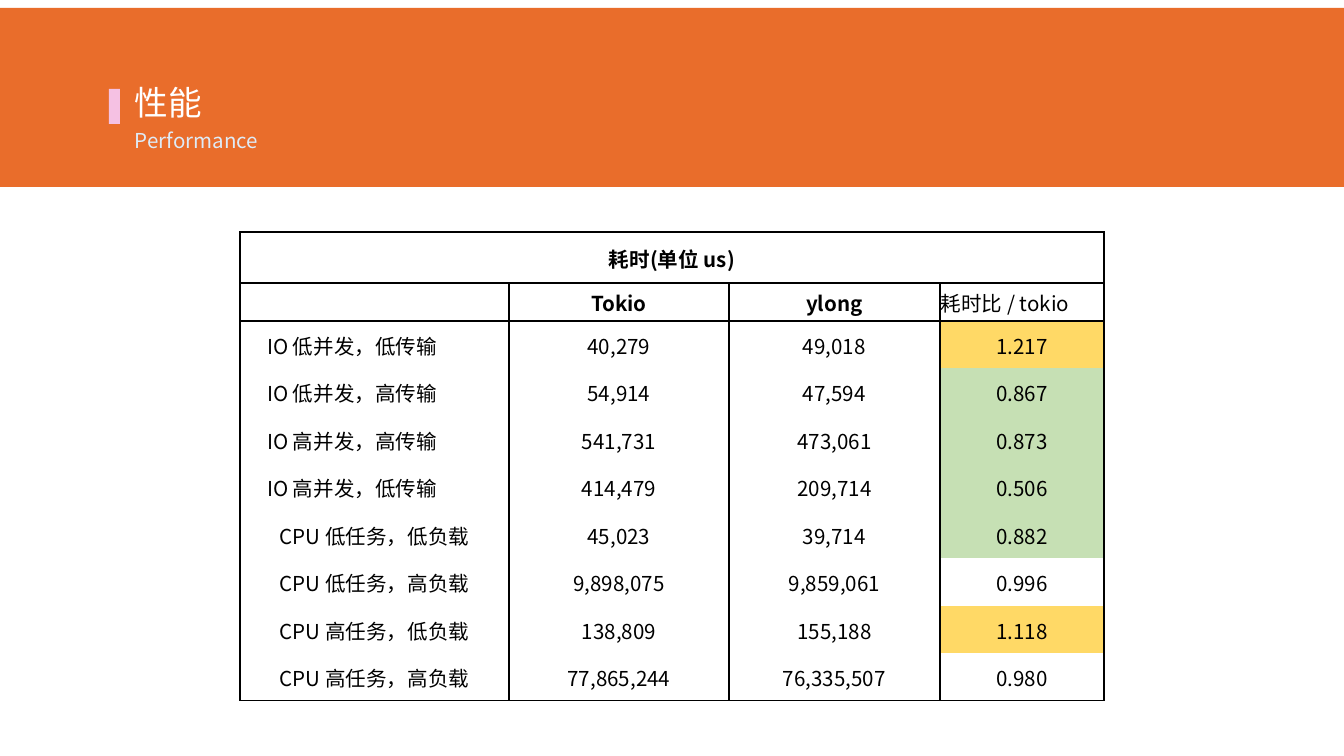
from lxml.etree import SubElement
from pptx import Presentation
from pptx.dml.color import RGBColor
from pptx.enum.shapes import MSO_SHAPE
from pptx.enum.text import MSO_ANCHOR, MSO_AUTO_SIZE, PP_ALIGN
from pptx.oxml.ns import qn
from pptx.util import Emu, Pt

# Content
TITLE, SUBTITLE = "性能", "Performance"
CAPTION = "耗时(单位 us)"
HEADERS = ["", "Tokio", "ylong", "耗时比 / tokio"]
RESULTS = [
    ("IO 低并发，低传输", "40,279", "49,018", "1.217", "slower"),
    ("IO 低并发，高传输", "54,914", "47,594", "0.867", "faster"),
    ("IO 高并发，高传输", "541,731", "473,061", "0.873", "faster"),
    ("IO 高并发，低传输", "414,479", "209,714", "0.506", "faster"),
    ("CPU 低任务，低负载", "45,023", "39,714", "0.882", "faster"),
    ("CPU 低任务，高负载", "9,898,075", "9,859,061", "0.996", None),
    ("CPU 高任务，低负载", "138,809", "155,188", "1.118", "slower"),
    ("CPU 高任务，高负载", "77,865,244", "76,335,507", "0.980", None),
]
COLORS = {
    "band": "E96D2B", "accent": "F5C1E3", "title": "FFFFFF", "subtitle": "DEEBF7",
    "ink": "000000", "slower": "FFD966", "faster": "C6E0B4",
}
FONT = "Noto Sans CJK SC"

# Layout in px
COL_WIDTHS = [269, 220, 211, 164]
HEAD_HEIGHTS = [51, 38]
TABLE_LEFT, TABLE_TOP, TABLE_HEIGHT = 240, 232, 469
IO_INDENT = 27


def px(n):
    return Emu(round(n * 914400 / 134.4))


def rgb(name):
    return RGBColor.from_string(COLORS[name])


def style_text(p, size, color, bold=False, align=PP_ALIGN.LEFT):
    p.alignment = align
    p.space_before = Pt(0)
    for r in p.runs:
        r.font.size, r.font.bold, r.font.name = Pt(size), bold, FONT
        r.font.color.rgb = rgb(color)
        SubElement(r.font._element, qn("a:ea"), typeface=FONT)
    if not p.runs:
        p._p.get_or_add_endParaRPr().set("sz", str(size * 100))


def add_rect(slide, box, color):
    sp = slide.shapes.add_shape(MSO_SHAPE.RECTANGLE, *map(px, box))
    sp.shadow.inherit = False
    sp.fill.solid()
    sp.fill.fore_color.rgb = rgb(color)
    sp.line.fill.background()
    return sp


def fill_placeholder(sp, box, text, size, color):
    sp.left, sp.top, sp.width, sp.height = map(px, box)
    tf = sp.text_frame
    tf.text = text
    tf.word_wrap = True
    tf.auto_size = MSO_AUTO_SIZE.NONE
    tf.vertical_anchor = MSO_ANCHOR.TOP
    tf.margin_left = tf.margin_right = tf.margin_top = tf.margin_bottom = px(7)
    style_text(tf.paragraphs[0], size, color)


def set_borders(cell, sides):
    tcPr = cell._tc.get_or_add_tcPr()
    for side in "LRTB":
        ln = SubElement(tcPr, qn(f"a:ln{side}"), w=str(Pt(1)))
        if side in sides:
            fill = SubElement(ln, qn("a:solidFill"))
            SubElement(fill, qn("a:srgbClr"), val=COLORS["ink"])
        else:
            SubElement(ln, qn("a:noFill"))


def format_cell(cell, text, sides, bold=False, align=PP_ALIGN.CENTER, indent=1, fill=None):
    set_borders(cell, sides)
    if fill:
        cell.fill.solid()
        cell.fill.fore_color.rgb = rgb(fill)
    else:
        cell.fill.background()
    cell.text = text
    cell.vertical_anchor = MSO_ANCHOR.MIDDLE
    cell.margin_left, cell.margin_right = px(indent), px(1)
    cell.margin_top, cell.margin_bottom = px(1), 0
    style_text(cell.text_frame.paragraphs[0], 11, "ink", bold, align)


def add_results_table(slide):
    row_count = len(HEAD_HEIGHTS) + len(RESULTS)
    box = (TABLE_LEFT, TABLE_TOP, sum(COL_WIDTHS), TABLE_HEIGHT)
    table = slide.shapes.add_table(row_count, len(COL_WIDTHS), *map(px, box)).table
    table.first_row = table.horz_banding = False

    body_height = (TABLE_HEIGHT - sum(HEAD_HEIGHTS)) / len(RESULTS)
    for col, width in zip(table.columns, COL_WIDTHS):
        col.width = px(width)
    for row, height in zip(table.rows, HEAD_HEIGHTS + [body_height] * len(RESULTS)):
        row.height = px(height)

    # Caption and header rows
    for c, header in enumerate(HEADERS):
        format_cell(table.cell(0, c), "" if c else CAPTION, "LRTB", bold=True)
        last = c == len(HEADERS) - 1
        format_cell(table.cell(1, c), header, "LRTB", bold=not last,
                    align=PP_ALIGN.LEFT if last else PP_ALIGN.CENTER)
    table.cell(0, 0).merge(table.cell(0, len(HEADERS) - 1))

    # Result rows: only the outer edges and the column lines are ruled
    for i, (*values, verdict) in enumerate(RESULTS):
        sides = "LR" + ("T" if i == 0 else "") + ("B" if i == len(RESULTS) - 1 else "")
        for c, value in enumerate(values):
            is_io = value.startswith("IO")
            format_cell(table.cell(i + len(HEAD_HEIGHTS), c), value, sides,
                        align=PP_ALIGN.LEFT if is_io else PP_ALIGN.CENTER,
                        indent=IO_INDENT if is_io else 1,
                        fill=verdict if c == len(values) - 1 else None)


def main():
    prs = Presentation()
    prs.slide_width, prs.slide_height = px(1344), px(756)
    slide = prs.slides.add_slide(prs.slide_layouts[0])

    # Heading, with the band sent behind the placeholders
    band = add_rect(slide, (0, 8, 1344, 179), "band")
    slide.shapes._spTree.insert(2, band._element)
    fill_placeholder(slide.shapes.title, (128, 75, 673, 55), TITLE, 18, "title")
    fill_placeholder(slide.placeholders[1], (128, 121, 449, 39), SUBTITLE, 11, "subtitle")
    add_rect(slide, (109, 89, 11, 35), "accent")

    add_results_table(slide)
    prs.save("out.pptx")


if __name__ == "__main__":
    main()
